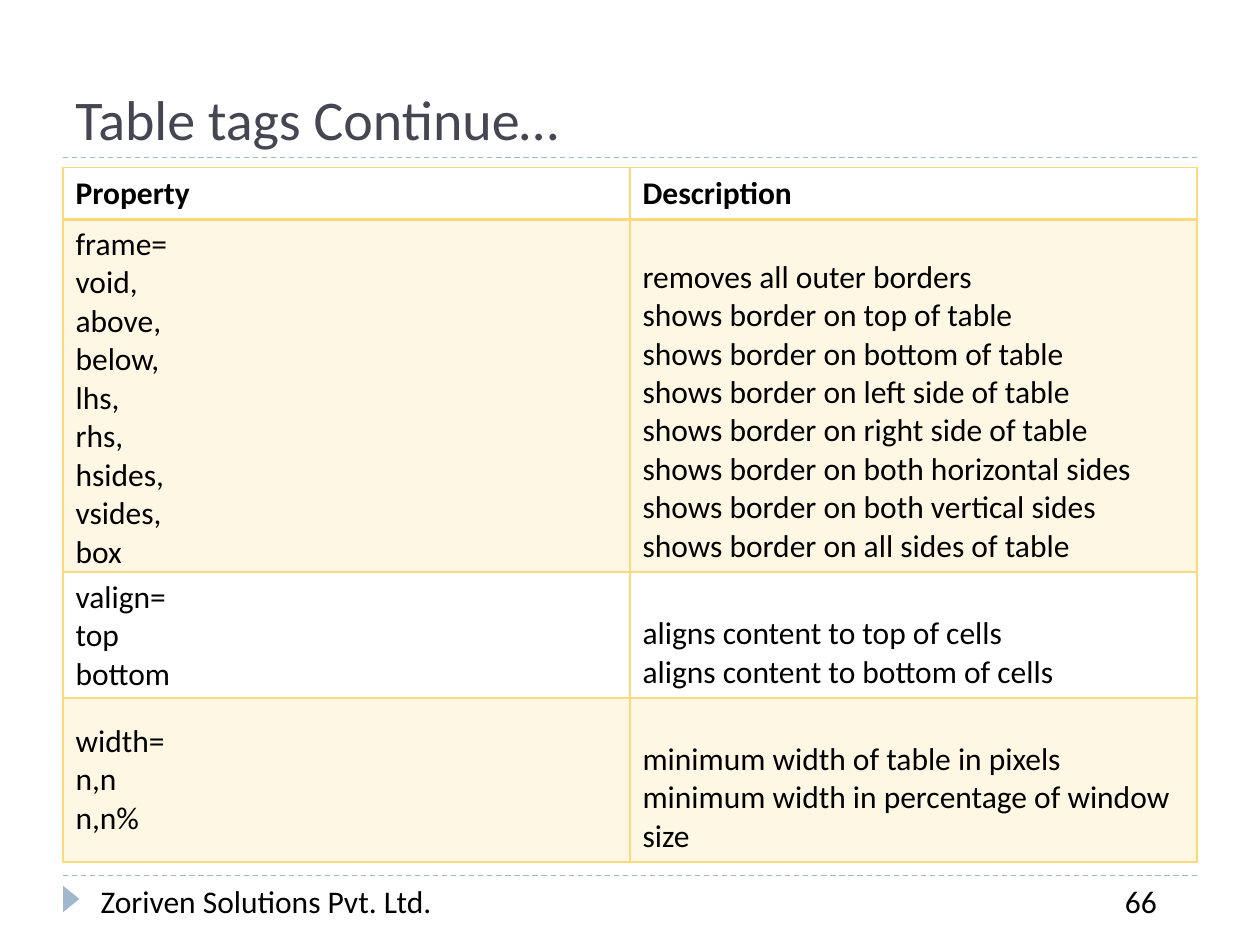
from lxml import etree
from pptx import Presentation
from pptx.dml.color import RGBColor
from pptx.enum.dml import MSO_LINE
from pptx.enum.shapes import MSO_CONNECTOR, MSO_SHAPE
from pptx.enum.text import MSO_ANCHOR
from pptx.oxml.ns import qn
from pptx.util import Inches, Pt

DASH = MSO_LINE.DASH
STRAIGHT = MSO_CONNECTOR.STRAIGHT
TRIANGLE = MSO_SHAPE.ISOSCELES_TRIANGLE
TOP, MIDDLE, BOTTOM = MSO_ANCHOR.TOP, MSO_ANCHOR.MIDDLE, MSO_ANCHOR.BOTTOM

# Content
TITLE = "Table tags Continue…"
FOOTER = "Zoriven Solutions Pvt. Ltd."
PAGE_NUMBER = "66"
HEADER = ("Property", "Description")
ROWS = [
    (["frame=", "void,", "above,", "below,", "lhs,", "rhs,", "hsides,", "vsides,", "box"],
     ["removes all outer borders",
      "shows border on top of table",
      "shows border on bottom of table",
      "shows border on left side of table",
      "shows border on right side of table",
      "shows border on both horizontal sides",
      "shows border on both vertical sides",
      "shows border on all sides of table"]),
    (["valign=", "top", "bottom"],
     ["aligns content to top of cells", "aligns content to bottom of cells"]),
    (["width=", "n,n", "n,n%"],
     ["minimum width of table in pixels",
      "minimum width in percentage of window size"]),
]

# Style and layout, in inches
COLORS = {"rule": "9FB8CD", "title": "464653", "text": "000000", "gold": "FADA7A"}
FONT = "Calibri"
BODY_SIZE = 18
WIDTH, HEIGHT, MARGIN = 10, 7.5, 0.5
CONTENT_WIDTH = WIDTH - 2 * MARGIN
TITLE_TOP, TITLE_RULE, FOOTER_RULE = 0.17, 1.25, 6.95
TABLE_TOP = 1.33
ROW_HEIGHTS = [0.41, 2.8, 1, 1.3]
BAND_ALPHA = 20


def color(name):
    return RGBColor.from_string(COLORS[name])


def style_text(frame, size, color_name, anchor, bold=False):
    frame.word_wrap = True
    frame.vertical_anchor = anchor
    for para in frame.paragraphs:
        font = para.font
        font.name, font.size, font.bold = FONT, Pt(size), bold
        font.color.rgb = color(color_name)


def add_text(page, text, left, top, width, height, size=BODY_SIZE,
             color_name="text", anchor=TOP):
    box = page.shapes.add_textbox(*map(Inches, (left, top, width, height)))
    box.text_frame.text = text
    style_text(box.text_frame, size, color_name, anchor)


def add_rule(page, y):
    rule = page.shapes.add_connector(
        STRAIGHT, Inches(MARGIN), Inches(y), Inches(WIDTH - MARGIN), Inches(y))
    rule.line.color.rgb = color("rule")
    rule.line.width = Pt(0.75)
    rule.line.dash_style = DASH
    etree.SubElement(rule._element.spPr, qn("a:effectLst"))


def set_borders(cell, widths):
    properties = cell._tc.get_or_add_tcPr()
    for index, (side, width) in enumerate(widths.items()):
        border = etree.Element(qn(f"a:ln{side}"), w=str(Pt(width)))
        fill = etree.SubElement(border, qn("a:solidFill"))
        etree.SubElement(fill, qn("a:srgbClr"), val=COLORS["gold"])
        properties.insert(index, border)


def fill_band(cell):
    cell.fill.solid()
    cell.fill.fore_color.rgb = color("gold")
    tint = cell._tc.tcPr.find(qn("a:solidFill")).find(qn("a:srgbClr"))
    etree.SubElement(tint, qn("a:alpha"), val=str(BAND_ALPHA * 1000))


def add_property_table(page):
    rows = [([HEADER[0]], [HEADER[1]])] + ROWS
    table = page.shapes.add_table(
        len(rows), len(HEADER), Inches(MARGIN), Inches(TABLE_TOP),
        Inches(CONTENT_WIDTH), Inches(sum(ROW_HEIGHTS))).table
    for column in table.columns:
        column.width = Inches(CONTENT_WIDTH / len(HEADER))
    for r, (height, row) in enumerate(zip(ROW_HEIGHTS, rows)):
        table.rows[r].height = Inches(height)
        for c, lines in enumerate(row):
            cell = table.cell(r, c)
            cell.text_frame.text = "\v".join(lines)
            # Descriptions sit low, so they line up with the values on the left
            anchor = BOTTOM if r and c else MIDDLE
            style_text(cell.text_frame, BODY_SIZE, "text", anchor, bold=r == 0)
            cell.vertical_anchor = anchor
            if r % 2:
                fill_band(cell)
            else:
                cell.fill.background()
            set_borders(cell, {"L": 1, "R": 1, "T": 2 if r == 1 else 1,
                               "B": 2 if r == 0 else 1})


def add_marker(page):
    marker = page.shapes.add_shape(
        TRIANGLE, Inches(0.46), Inches(7.07), Inches(0.21), Inches(0.13))
    marker.rotation = 90
    marker.shadow.inherit = False
    marker.fill.solid()
    marker.fill.fore_color.rgb = color("rule")
    marker.line.fill.background()


def main():
    deck = Presentation()
    deck.slide_width, deck.slide_height = Inches(WIDTH), Inches(HEIGHT)
    page = deck.slides.add_slide(deck.slide_layouts[6])

    # Frame of the page
    for y in (FOOTER_RULE, TITLE_RULE):
        add_rule(page, y)
    add_marker(page)

    # Title and table
    add_text(page, TITLE, MARGIN, TITLE_TOP, CONTENT_WIDTH, TITLE_RULE - TITLE_TOP,
             size=32, color_name="title", anchor=BOTTOM)
    add_property_table(page)

    # Footer
    add_text(page, FOOTER, 0.7, FOOTER_RULE, 3.8, 0.4)
    add_text(page, PAGE_NUMBER, 8.83, FOOTER_RULE, 0.67, 0.4)

    deck.save("out.pptx")


if __name__ == "__main__":
    main()
